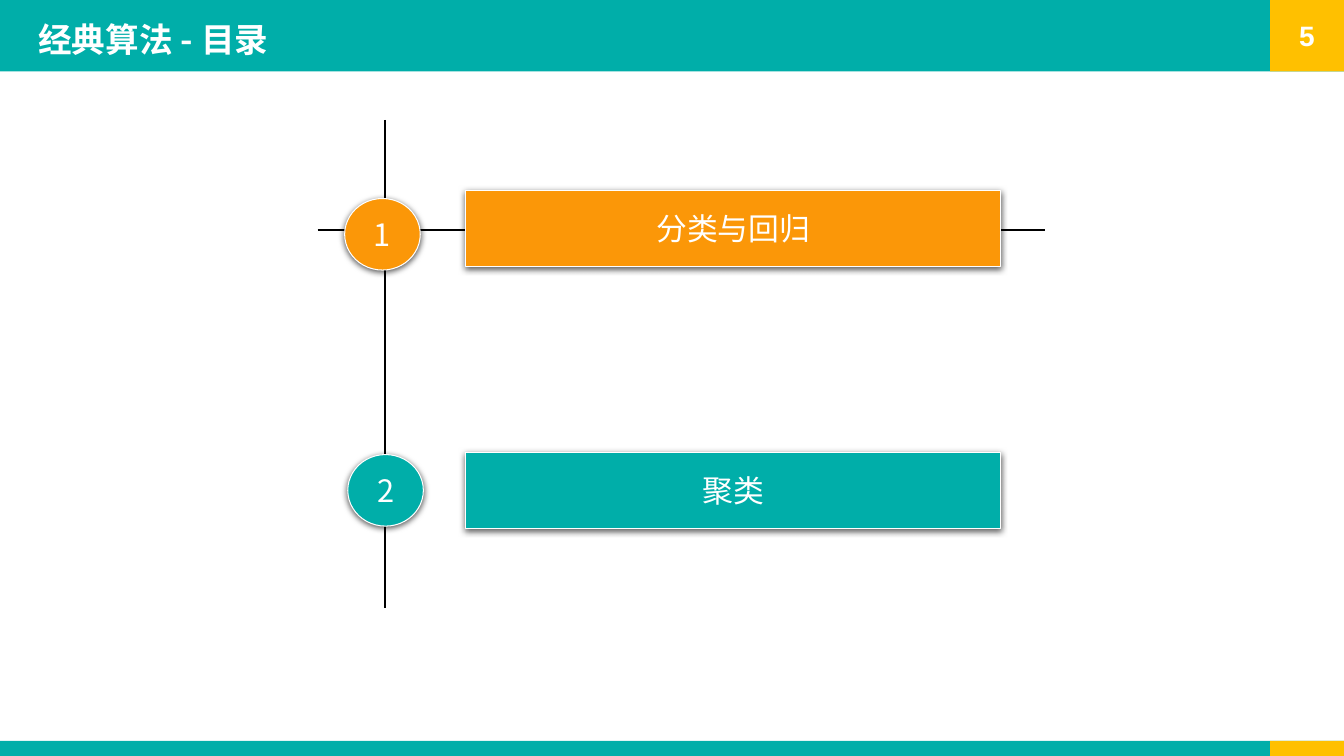
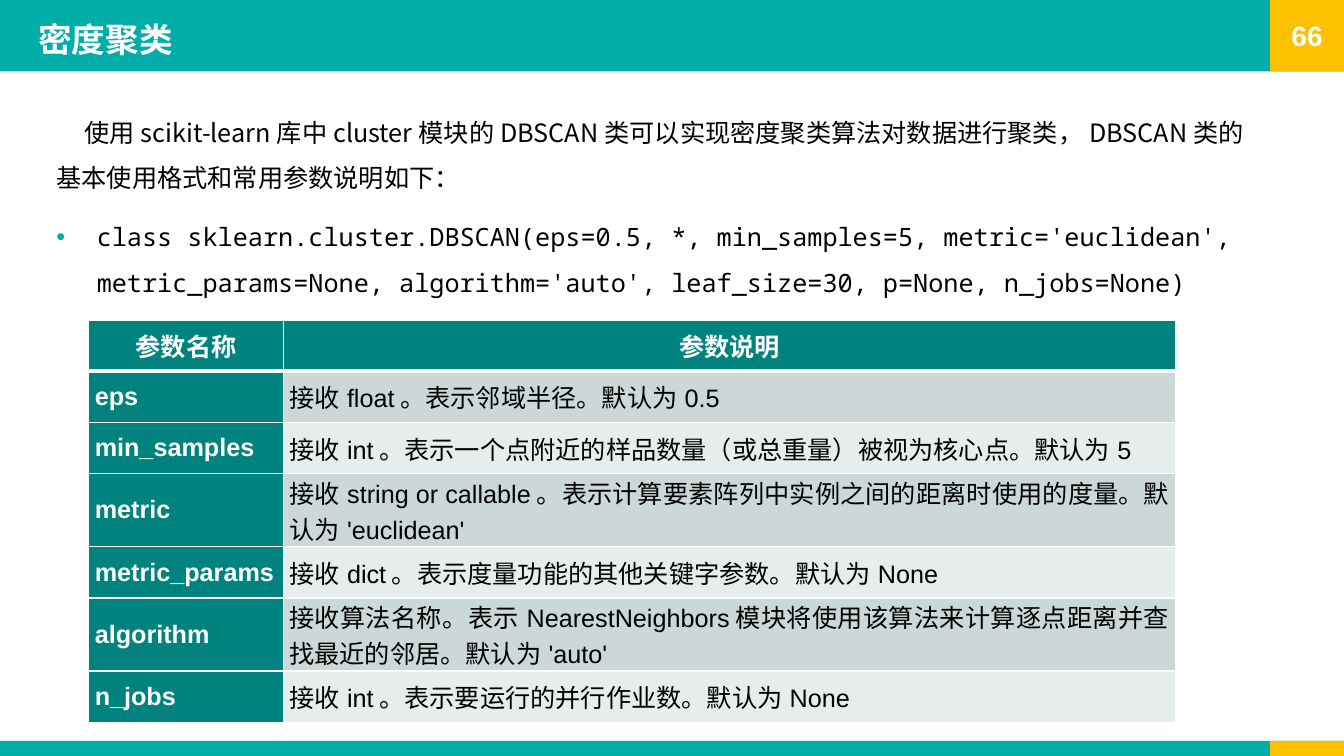
from lxml.etree import SubElement
from pptx import Presentation
from pptx.dml.color import RGBColor
from pptx.enum.shapes import MSO_CONNECTOR, MSO_SHAPE
from pptx.enum.text import MSO_ANCHOR, MSO_AUTO_SIZE, PP_ALIGN
from pptx.oxml.ns import qn
from pptx.util import Pt

COLORS = {
    "teal": "00AEA9", "dark_teal": "00827E", "yellow": "FFC000", "orange": "FB9708",
    "white": "FFFFFF", "black": "000000", "odd_row": "CCD8D8", "even_row": "E7EDEC",
}
CHINESE, LATIN, CODE = "Noto Sans CJK SC", "Arial", "Noto Sans Mono"
WIDTH, HEIGHT = 960, 540
BAND_HEIGHT, FOOTER_HEIGHT, CORNER_LEFT = 51, 10.8, 907.2
TITLE_ONLY, TITLE_AND_BODY = 5, 1

AGENDA = [("1", "分类与回归", "orange", 246.2, 141.8, 136.1),
          ("2", "聚类", "teal", 248.4, 324.7, 323.3)]
INTRO = ("使用scikit-learn库中cluster模块的DBSCAN类可以实现密度聚类算法对数据进行聚类，"
         "DBSCAN类的基本使用格式和常用参数说明如下：")
SIGNATURE = ("class sklearn.cluster.DBSCAN(eps=0.5, *, min_samples=5, metric='euclidean', "
             "metric_params=None, algorithm='auto', leaf_size=30, p=None, n_jobs=None)")
PARAMETERS = [
    ("参数名称", "参数说明"),
    ("eps", "接收float。表示邻域半径。默认为0.5"),
    ("min_samples", "接收int。表示一个点附近的样品数量（或总重量）被视为核心点。默认为5"),
    ("metric", "接收string or callable。表示计算要素阵列中实例之间的距离时使用的度量。默认为'euclidean'"),
    ("metric_params", "接收dict。表示度量功能的其他关键字参数。默认为None"),
    ("algorithm", "接收算法名称。表示NearestNeighbors模块将使用该算法来计算逐点距离并查找最近的邻居。默认为'auto'"),
    ("n_jobs", "接收int。表示要运行的并行作业数。默认为None"),
]


class Lesson:
    """Hold the deck style and the current page, and draw each kind of element."""

    def __init__(self):
        self.deck = Presentation()
        self.deck.slide_width, self.deck.slide_height = Pt(WIDTH), Pt(HEIGHT)
        self.page = None

    def add_page(self, layout, title, number):
        self.page = self.deck.slides.add_slide(self.deck.slide_layouts[layout])
        if len(self.deck.slides) == 1:
            self.add_master_bands()
        box = self.page.shapes.title
        self.place(box, 20.2, 4.3, 864, 41.8)
        box.text_frame.vertical_anchor = MSO_ANCHOR.BOTTOM
        box.text_frame.auto_size = MSO_AUTO_SIZE.NONE
        para = box.text_frame.paragraphs[0]
        para.line_spacing = 0.9
        self.set_text(para, title, 24, bold=True, align=PP_ALIGN.LEFT)
        tab = self.add_block(MSO_SHAPE.RECTANGLE, CORNER_LEFT, 0,
                             WIDTH - CORNER_LEFT, BAND_HEIGHT, "yellow")
        self.set_text(tab.text_frame.paragraphs[0], number, 20, LATIN, bold=True)

    def add_master_bands(self):
        footer_top = HEIGHT - FOOTER_HEIGHT
        bands = [(0, 0, BAND_HEIGHT, "teal"), (0, footer_top, FOOTER_HEIGHT, "teal"),
                 (CORNER_LEFT, footer_top, FOOTER_HEIGHT, "yellow")]
        master_tree = self.deck.slide_master.shapes.element
        for position, (left, top, height, color) in enumerate(bands, start=2):
            band = self.add_block(MSO_SHAPE.RECTANGLE, left, top, WIDTH - left, height, color)
            band.element.nvSpPr.cNvPr.set("id", str(100 + position))
            master_tree.insert(position, band.element)

    def place(self, box, left, top, width, height):
        box.left, box.top, box.width, box.height = Pt(left), Pt(top), Pt(width), Pt(height)

    def rgb(self, color):
        return RGBColor.from_string(COLORS[color])

    def set_text(self, para, text, size, font=CHINESE, color="white", bold=False,
                 align=PP_ALIGN.CENTER):
        para.add_run().text = text
        para.alignment = align
        para.font.size, para.font.bold, para.font.name = Pt(size), bold, font
        para.font.color.rgb = self.rgb(color)
        defaults = para._p.pPr.find(qn("a:defRPr"))
        SubElement(defaults, qn("a:ea"), typeface=CHINESE)

    def add_block(self, kind, left, top, width, height, color):
        box = self.page.shapes.add_shape(kind, Pt(left), Pt(top), Pt(width), Pt(height))
        box.shadow.inherit = False
        box.fill.solid()
        box.fill.fore_color.rgb = self.rgb(color)
        box.line.fill.background()
        box.text_frame.vertical_anchor = MSO_ANCHOR.MIDDLE
        return box

    def add_raised_label(self, kind, left, top, width, height, color, text):
        box = self.add_block(kind, left, top, width, height, color)
        box.line.color.rgb = self.rgb("white")
        box.line.width = Pt(0.75)
        effects = box.element.spPr.find(qn("a:effectLst"))
        shadow = SubElement(effects, qn("a:outerShdw"), blurRad=str(Pt(4.5)),
                            dist=str(Pt(1.5)), dir="5400000", rotWithShape="0")
        shade = SubElement(shadow, qn("a:srgbClr"), val=COLORS["black"])
        SubElement(shade, qn("a:alpha"), val="63000")
        box.text_frame.word_wrap = False
        self.set_text(box.text_frame.paragraphs[0], text, 22)

    def add_line(self, left, top, right, bottom):
        line = self.page.shapes.add_connector(
            MSO_CONNECTOR.STRAIGHT, Pt(left), Pt(top), Pt(right), Pt(bottom))
        line.line.color.rgb = self.rgb("black")
        line.line.width = Pt(1)
        SubElement(line.element.spPr, qn("a:effectLst"))

    def add_body(self, intro, code):
        box = self.page.placeholders[1]
        self.place(box, 33.1, 69.1, 874.8, 416.2)
        box.text_frame.auto_size = MSO_AUTO_SIZE.NONE
        first = box.text_frame.paragraphs[0]
        second = box.text_frame.add_paragraph()
        for para, margin, indent, before in ((first, 0, 20, 0), (second, 28.8, -28.8, 10)):
            para.line_spacing, para.space_before = 1.5, Pt(before)
            settings = para._p.get_or_add_pPr()
            settings.set("marL", str(Pt(margin)))
            settings.set("indent", str(Pt(indent)))
        SubElement(first._p.pPr, qn("a:buNone"))
        bullet_color = SubElement(second._p.pPr, qn("a:buClr"))
        SubElement(bullet_color, qn("a:srgbClr"), val=COLORS["teal"])
        SubElement(second._p.pPr, qn("a:buFont"), typeface=LATIN)
        SubElement(second._p.pPr, qn("a:buChar"), char="•")
        self.set_text(first, intro, 18, color="black", align=PP_ALIGN.LEFT)
        self.set_text(second, code, 18, CODE, "black", align=PP_ALIGN.LEFT)

    def add_table(self, rows, left, top, widths, heights):
        frame = self.page.shapes.add_table(len(rows), len(widths), Pt(left), Pt(top),
                                           Pt(sum(widths)), Pt(sum(heights)))
        table = frame.table
        for column, width in zip(table.columns, widths):
            column.width = Pt(width)
        for row_index, (row, height) in enumerate(zip(rows, heights)):
            table.rows[row_index].height = Pt(height)
            for column_index, text in enumerate(row):
                self.fill_cell(table.cell(row_index, column_index), text,
                               row_index, column_index)

    def fill_cell(self, cell, text, row_index, column_index):
        heading = row_index == 0 or column_index == 0
        banding = "odd_row" if row_index % 2 else "even_row"
        cell.margin_left = cell.margin_right = Pt(4.3)
        cell.margin_top = cell.margin_bottom = 0
        cell.vertical_anchor = MSO_ANCHOR.MIDDLE
        borders = {"lnL": 1, "lnR": 1, "lnT": 3 if row_index == 1 else 1,
                   "lnB": 3 if row_index == 0 else 1}
        for side, width in borders.items():
            edge = SubElement(cell._tc.get_or_add_tcPr(), qn(f"a:{side}"), w=str(Pt(width)))
            SubElement(SubElement(edge, qn("a:solidFill")), qn("a:srgbClr"),
                       val=COLORS["white"])
        cell.fill.solid()
        cell.fill.fore_color.rgb = self.rgb("dark_teal" if heading else banding)
        self.set_text(cell.text_frame.paragraphs[0], text, 18, LATIN,
                      "white" if heading else "black", heading,
                      PP_ALIGN.JUSTIFY if row_index else PP_ALIGN.CENTER)


def main():
    lesson = Lesson()
    lesson.add_page(TITLE_ONLY, "经典算法-目录", "5")
    lesson.add_line(275, 85.7, 275, 434.2)
    lesson.add_line(226.8, 164.2, 746.6, 164.2)
    for number, topic, color, circle_left, circle_top, bar_top in AGENDA:
        lesson.add_raised_label(MSO_SHAPE.OVAL, circle_left, circle_top, 54, 51.1,
                                color, number)
        lesson.add_raised_label(MSO_SHAPE.ACTION_BUTTON_CUSTOM, 332.6, bar_top, 382.3, 54,
                                color, topic)

    lesson.add_page(TITLE_AND_BODY, "密度聚类", "66")
    lesson.add_body(INTRO, SIGNATURE)
    lesson.add_table(PARAMETERS, 63.4, 229, [139, 637.2], [36] + [36.7] * 6)
    lesson.deck.save("out.pptx")


if __name__ == "__main__":
    main()
